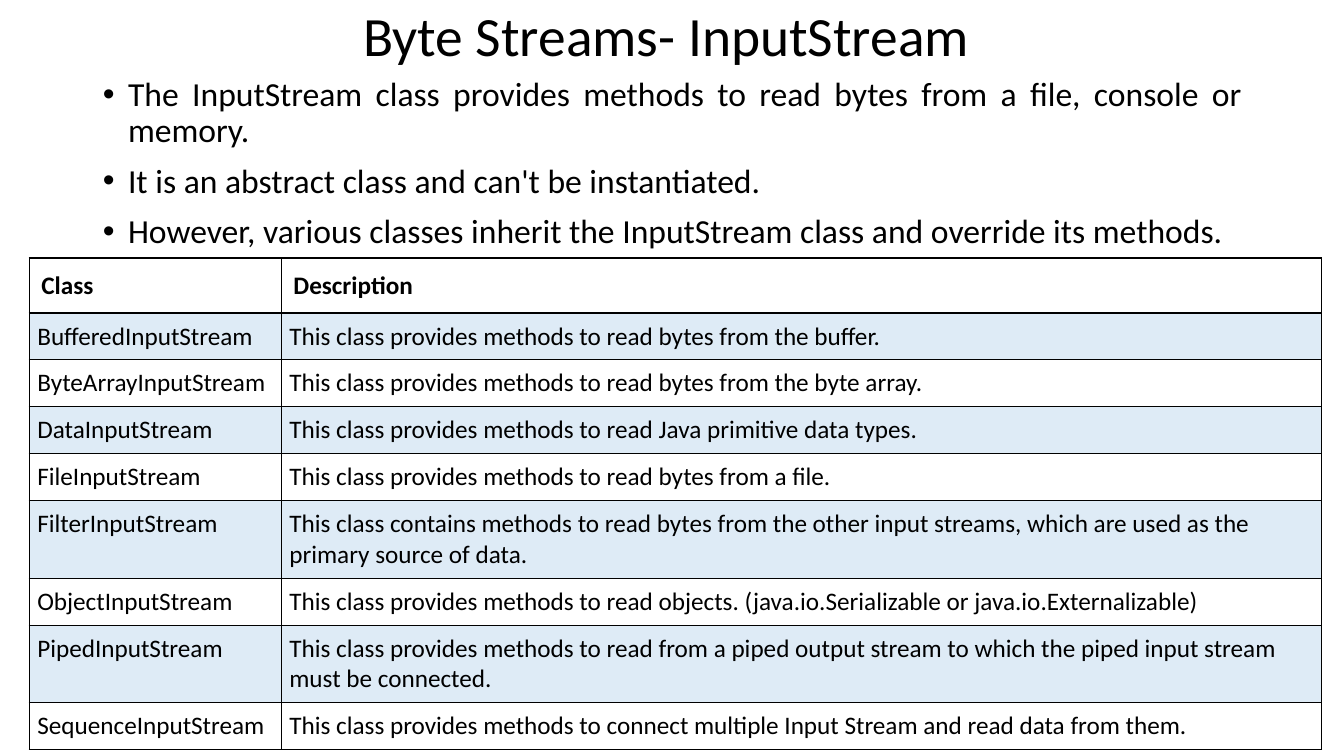
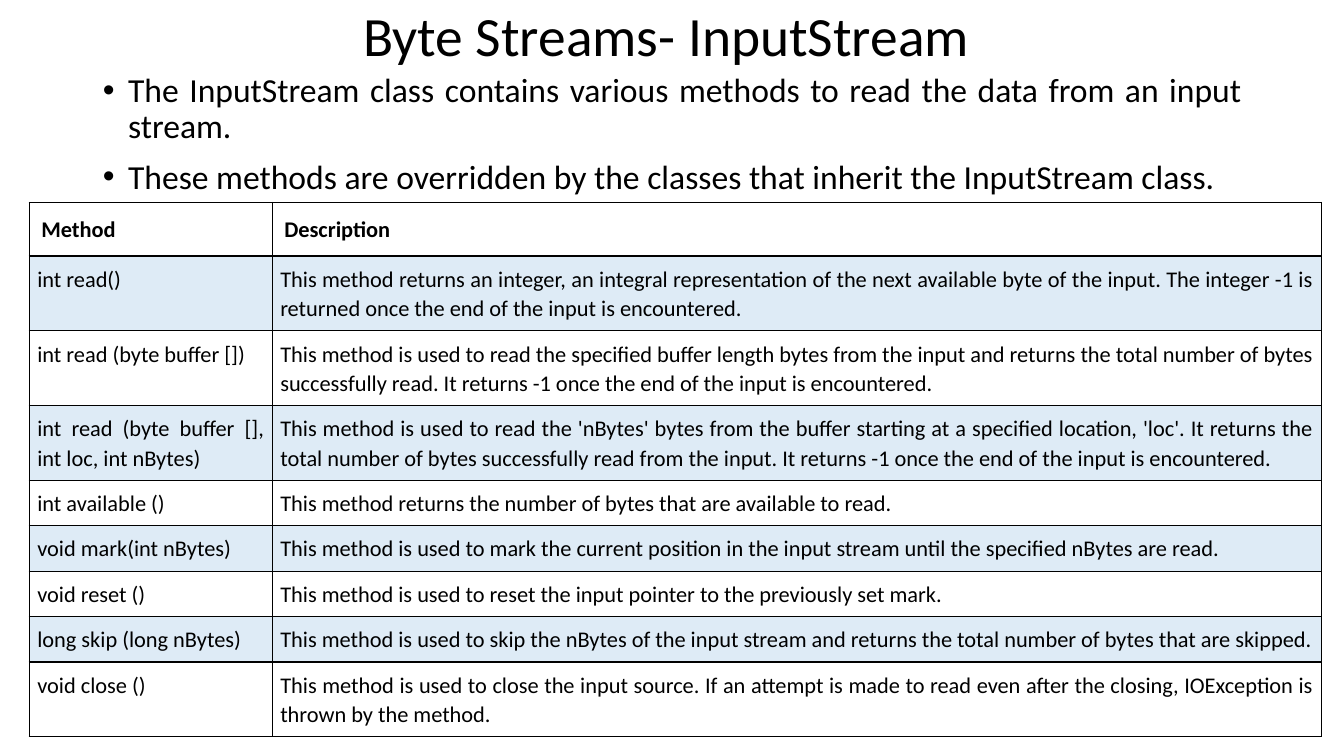
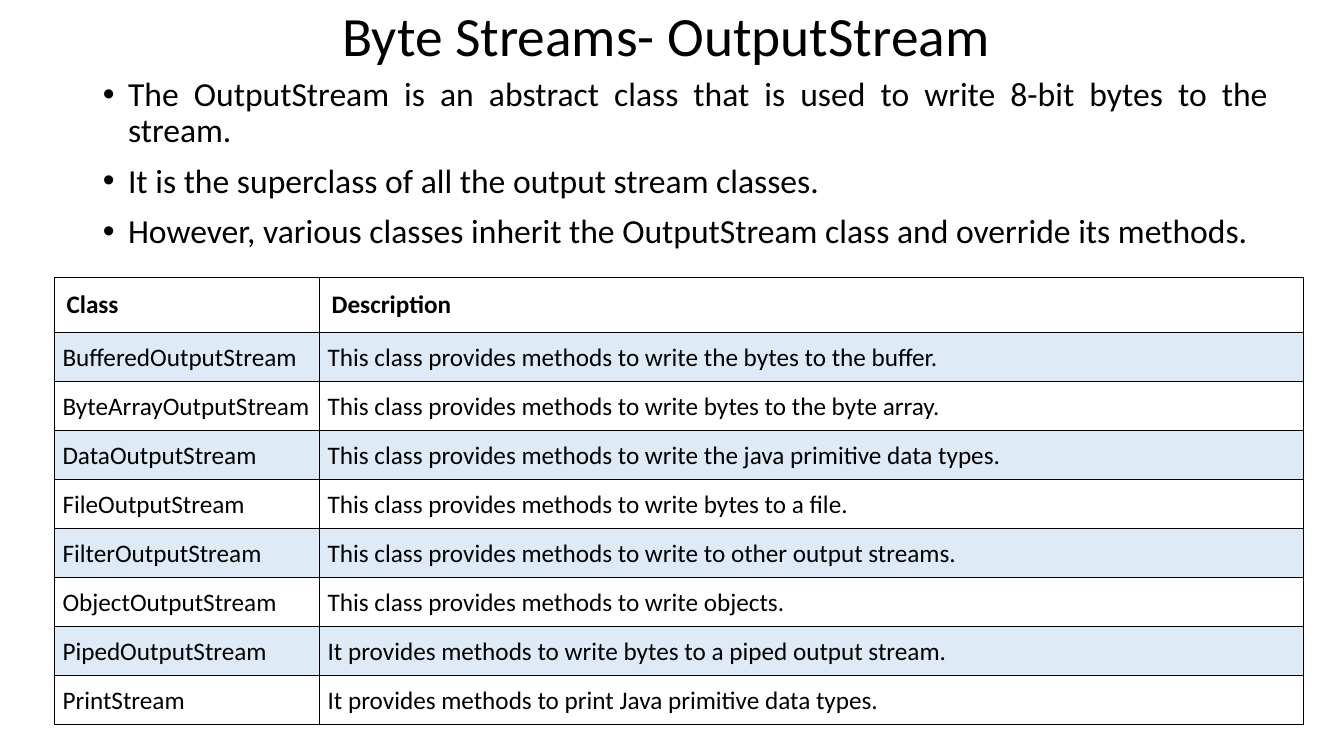
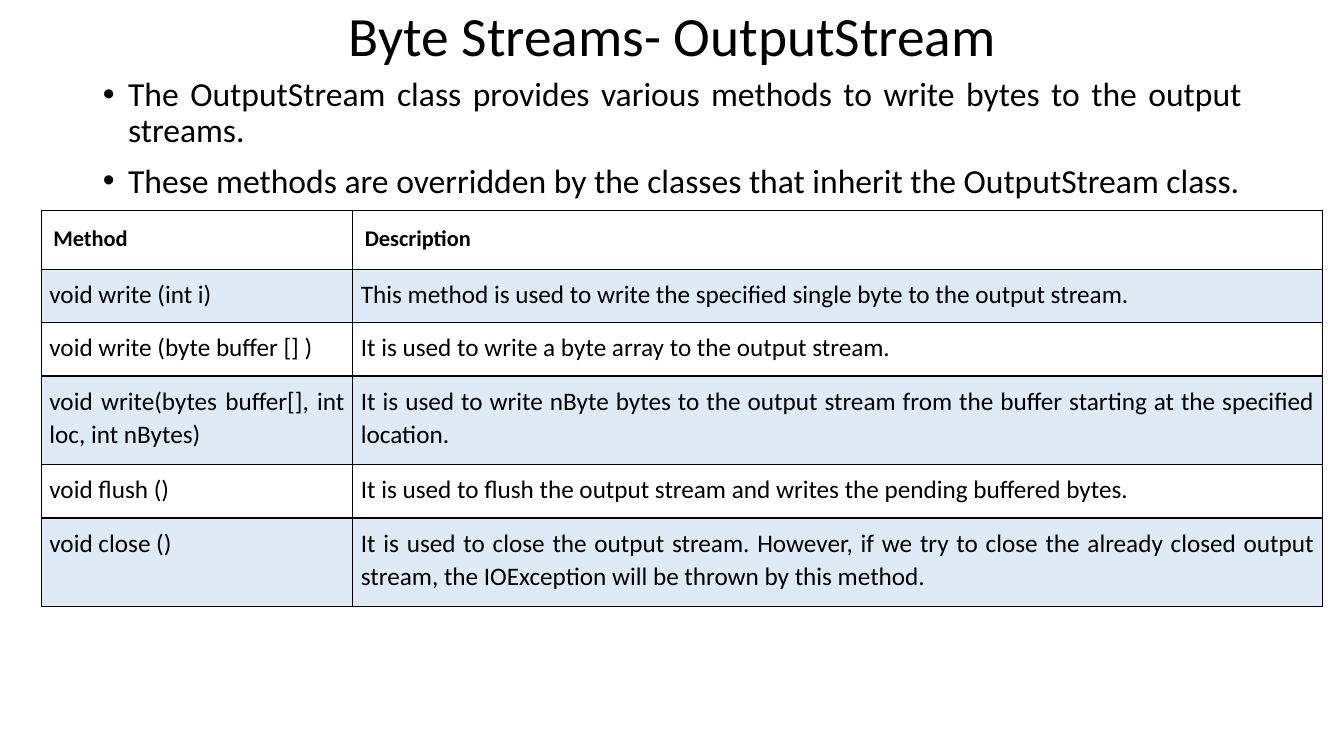
from lxml import etree
from pptx import Presentation
from pptx import util as u
from pptx.dml.color import RGBColor
from pptx.enum import text
from pptx.oxml.ns import qn

PX = 9144  # EMU per px, 100 px to the inch
FONT = "Calibri"
COLORS = {"text": "000000", "border": "000000", "band": "5B9BD5"}
BAND_ALPHA = 20  # percent
TITLE_BOX = (92, 5, 1150, 67)
ALIGN = text.PP_ALIGN


def px(n):
    return u.Emu(n * PX)


def place(sp, box):
    sp.left, sp.top, sp.width, sp.height = map(px, box)


def add_run(p, words, size, bold=False):
    r = p.add_run()
    r.text = words
    r.font.name = FONT
    r.font.size = u.Pt(size)
    r.font.bold = bold
    r.font.color.rgb = RGBColor.from_string(COLORS["text"])


def fill_title(sp, words):
    place(sp, TITLE_BOX)
    tf = sp.text_frame
    tf.auto_size = text.MSO_AUTO_SIZE.NONE
    tf.vertical_anchor = text.MSO_ANCHOR.MIDDLE
    p = tf.paragraphs[0]
    p.alignment = ALIGN.CENTER
    p.line_spacing = 0.9
    add_run(p, words, 39.6)


def fill_bullets(sp, box, items):
    place(sp, box)
    tf = sp.text_frame
    tf.auto_size = text.MSO_AUTO_SIZE.NONE
    for i, item in enumerate(items):
        p = tf.add_paragraph() if i else tf.paragraphs[0]
        pPr = p._p.get_or_add_pPr()
        pPr.set("marL", str(px(25)))
        pPr.set("indent", str(px(-25)))
        p.alignment = ALIGN.JUSTIFY
        p.line_spacing = 0.9
        p.space_before = u.Pt(10 if i else 0)
        add_run(p, item, 24)


def style_cell(cell, inset, banded):
    cell.margin_left = cell.margin_right = px(inset)
    cell.margin_top = cell.margin_bottom = px(inset)
    tcPr = cell._tc.get_or_add_tcPr()
    # Borders come before the fill in the cell properties
    for side in ("lnL", "lnR", "lnT", "lnB"):
        ln = etree.SubElement(tcPr, qn(f"a:{side}"), w=str(u.Pt(1)))
        line_fill = etree.SubElement(ln, qn("a:solidFill"))
        etree.SubElement(line_fill, qn("a:srgbClr"), val=COLORS["border"])
    if banded:
        cell.fill.solid()
        cell.fill.fore_color.rgb = RGBColor.from_string(COLORS["band"])
        clr = tcPr.find(qn("a:solidFill")).find(qn("a:srgbClr"))
        etree.SubElement(clr, qn("a:alpha"), val=str(BAND_ALPHA * 1000))
    else:
        cell.fill.background()


def add_grid(s, box, cols, heights, rows, head, body):
    """head and body hold size, line spacing, alignment and space after."""
    frame = s.shapes.add_table(len(rows), len(cols), *map(px, box))
    table = frame.table
    table.first_row = table.horz_banding = False
    for col, width in zip(table.columns, cols):
        col.width = px(width)
    for i, (row, height, words) in enumerate(zip(table.rows, heights, rows)):
        row.height = px(height)
        size, spacing, align, after = body if i else head
        for cell, value in zip(row.cells, words):
            style_cell(cell, 8 if i else 12, i % 2 == 1)
            p = cell.text_frame.paragraphs[0]
            p.alignment = align
            p.line_spacing = spacing
            p.space_after = u.Pt(after)
            add_run(p, value, size, bold=not i)
    frame.height = px(box[3])


def add_stream_slide(prs, title, bullets_box, bullets, **grid):
    s = prs.slides.add_slide(prs.slide_layouts[1])
    fill_title(s.shapes.title, title)
    fill_bullets(s.placeholders[1], bullets_box, bullets)
    add_grid(s, **grid)


# Text styles of the tables: size, line spacing, alignment, space after
HEAD_LARGE = (18, 1.0, ALIGN.LEFT, 0)
HEAD_SMALL = (16, 1.07, ALIGN.LEFT, 0)
BODY_LEFT = (18, 1.0, ALIGN.LEFT, 8)
BODY_LARGE = (18, 1.07, ALIGN.JUSTIFY, 0)
BODY_SMALL = (16, 1.07, ALIGN.JUSTIFY, 0)
NINE_ROWS = [32] + [41] * 8

SLIDES = [
    # Input classes
    dict(
        title="Byte Streams- InputStream ",
        bullets_box=(92, 72, 1150, 662),
        bullets=[
            "The InputStream class provides methods to read bytes from a file, console or memory.",
            "It is an abstract class and can't be instantiated.",
            "However, various classes inherit the InputStream class and override its methods.",
        ],
        box=(29, 256, 1282, 488), cols=(250, 1032), heights=NINE_ROWS,
        head=HEAD_LARGE, body=BODY_LEFT,
        rows=[
            ("Class", "Description"),
            ("BufferedInputStream", "This class provides methods to read bytes from the buffer."),
            ("ByteArrayInputStream", "This class provides methods to read bytes from the byte array."),
            ("DataInputStream", "This class provides methods to read Java primitive data types."),
            ("FileInputStream", "This class provides methods to read bytes from a file."),
            ("FilterInputStream",
             "This class contains methods to read bytes from the other input streams, "
             "which are used as the primary source of data."),
            ("ObjectInputStream",
             "This class provides methods to read objects. "
             "(java.io.Serializable or java.io.Externalizable)"),
            ("PipedInputStream",
             "This class provides methods to read from a piped output stream "
             "to which the piped input stream must be connected."),
            ("SequenceInputStream",
             "This class provides methods to connect multiple Input Stream and read data from them."),
        ],
    ),
    # Input methods
    dict(
        title="Byte Streams- InputStream ",
        bullets_box=(92, 68, 1150, 662),
        bullets=[
            "The InputStream class contains various methods to read the data from an input stream.",
            "These methods are overridden by the classes that inherit the InputStream class.",
        ],
        box=(29, 201, 1282, 558), cols=(241, 1041), heights=NINE_ROWS,
        head=HEAD_SMALL, body=BODY_SMALL,
        rows=[
            ("Method", "Description"),
            ("int read()",
             "This method returns an integer, an integral representation of the next available "
             "byte of the input. The integer -1 is returned once the end of the input is encountered."),
            ("int read (byte buffer [])",
             "This method is used to read the specified buffer length bytes from the input and "
             "returns the total number of bytes successfully read. "
             "It returns -1 once the end of the input is encountered."),
            ("int read (byte buffer [], int loc, int nBytes)",
             "This method is used to read the 'nBytes' bytes from the buffer starting at a "
             "specified location, 'loc'. It returns the total number of bytes successfully read "
             "from the input. It returns -1 once the end of the input is encountered."),
            ("int available ()",
             "This method returns the number of bytes that are available to read."),
            ("void mark(int nBytes)",
             "This method is used to mark the current position in the input stream "
             "until the specified nBytes are read."),
            ("void reset ()",
             "This method is used to reset the input pointer to the previously set mark."),
            ("long skip (long nBytes)",
             "This method is used to skip the nBytes of the input stream and returns "
             "the total number of bytes that are skipped."),
            ("void close ()",
             "This method is used to close the input source. If an attempt is made to read "
             "even after the closing, IOException is thrown by the method."),
        ],
    ),
    # Output classes
    dict(
        title="Byte Streams- OutputStream ",
        bullets_box=(92, 72, 1176, 662),
        bullets=[
            "The OutputStream is an abstract class that is used to write 8-bit bytes to the stream.",
            "It is the superclass of all the output stream classes.",
            "However, various classes inherit the OutputStream class and override its methods.",
        ],
        box=(54, 275, 1239, 445), cols=(263, 976), heights=NINE_ROWS,
        head=HEAD_LARGE, body=BODY_LARGE,
        rows=[
            ("Class", "Description"),
            ("BufferedOutputStream", "This class provides methods to write the bytes to the buffer."),
            ("ByteArrayOutputStream", "This class provides methods to write bytes to the byte array."),
            ("DataOutputStream", "This class provides methods to write the java primitive data types."),
            ("FileOutputStream", "This class provides methods to write bytes to a file."),
            ("FilterOutputStream", "This class provides methods to write to other output streams."),
            ("ObjectOutputStream", "This class provides methods to write objects."),
            ("PipedOutputStream", "It provides methods to write bytes to a piped output stream."),
            ("PrintStream", "It provides methods to print Java primitive data types."),
        ],
    ),
    # Output methods
    dict(
        title="Byte Streams- OutputStream",
        bullets_box=(92, 72, 1150, 662),
        bullets=[
            "The OutputStream class provides various methods to write bytes to the output streams.",
            "These methods are overridden by the classes that inherit the OutputStream class.",
        ],
        box=(41, 209, 1271, 394), cols=(309, 962), heights=(58, 53, 53, 88, 53, 88),
        head=HEAD_SMALL, body=BODY_LARGE,
        rows=[
            ("Method", "Description"),
            ("void write (int i)",
             "This method is used to write the specified single byte to the output stream."),
            ("void write (byte buffer [] )", "It is used to write a byte array to the output stream."),
            ("void write(bytes buffer[], int loc, int nBytes)",
             "It is used to write nByte bytes to the output stream from the buffer "
             "starting at the specified location."),
            ("void flush ()",
             "It is used to flush the output stream and writes the pending buffered bytes."),
            ("void close ()",
             "It is used to close the output stream. However, if we try to close the already "
             "closed output stream, the IOException will be thrown by this method."),
        ],
    ),
]


def main():
    prs = Presentation()
    prs.slide_width, prs.slide_height = px(1333), px(750)
    for slide in SLIDES:
        add_stream_slide(prs, **slide)
    prs.save("out.pptx")


if __name__ == "__main__":
    main()
